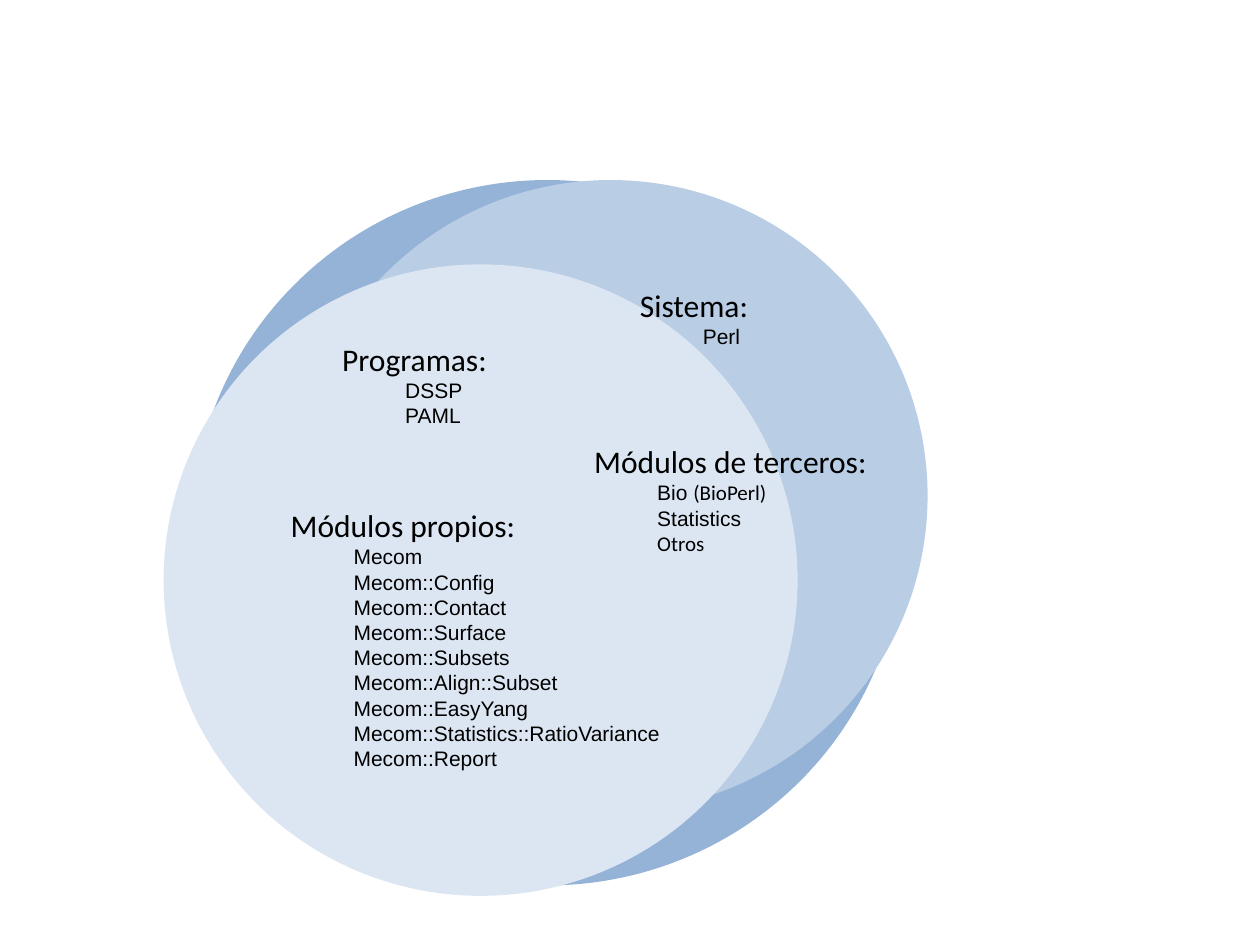
import pptx
import pptx.util
import pptx.dml.color
import pptx.enum.shapes
import pptx.enum.text

Cm = pptx.util.Cm
Pt = pptx.util.Pt
RGB = pptx.dml.color.RGBColor.from_string

colors = {"back": "95B3D7", "mid": "B9CDE5", "front": "DCE6F2", "text": "000000"}
head, plain = "Calibri", "Arial"

deck = pptx.Presentation()
deck.slide_width, deck.slide_height = Cm(25.4), Cm(19.05)
slide = deck.slides.add_slide(deck.slide_layouts[6])

discs = [
    ("back", 3.86, 3.63, 14.35, 14.22),
    ("mid", 5.92, 3.63, 12.78, 12.73),
    ("front", 3.3, 5.33, 12.78, 12.73),
]
for name, *box in discs:
    disc = slide.shapes.add_shape(
        pptx.enum.shapes.MSO_SHAPE.OVAL, *[Cm(size) for size in box])
    disc.shadow.inherit = False
    disc.fill.solid()
    disc.fill.fore_color.rgb = RGB(colors[name])
    disc.line.fill.background()

own = ["", "::Config", "::Contact", "::Surface", "::Subsets", "::Align::Subset",
       "::EasyYang", "::Statistics::RatioVariance", "::Report"]
groups = [
    ("Módulos propios:", (5.61, 10.08, 10.41, 5.64),
     [[("Mecom" + part, plain)] for part in own]),
    ("Módulos de terceros:", (11.73, 8.79, 6.76, 2.57),
     [[("Bio ", plain), ("(BioPerl)", head)], [("Statistics", plain)], [("Otros", head)]]),
    ("Programas:", (6.65, 6.73, 6.76, 2.06), [[("DSSP", plain)], [("PAML", plain)]]),
    ("Sistema:", (12.65, 5.64, 6.76, 1.55), [[("Perl", plain)]]),
]
for title, box, items in groups:
    label = slide.shapes.add_textbox(*[Cm(size) for size in box])
    frame = label.text_frame
    frame.word_wrap = True
    frame.auto_size = pptx.enum.text.MSO_AUTO_SIZE.SHAPE_TO_FIT_TEXT
    for row, parts in enumerate([[(title, head)]] + items):
        line = frame.add_paragraph() if row else frame.paragraphs[0]
        line.level = 1 if row else 0
        for text, font in parts:
            run = line.add_run()
            run.text = text
            run.font.name = font
            run.font.size = Pt(12 if row else 18)
            run.font.color.rgb = RGB(colors["text"])

deck.save("out.pptx")
